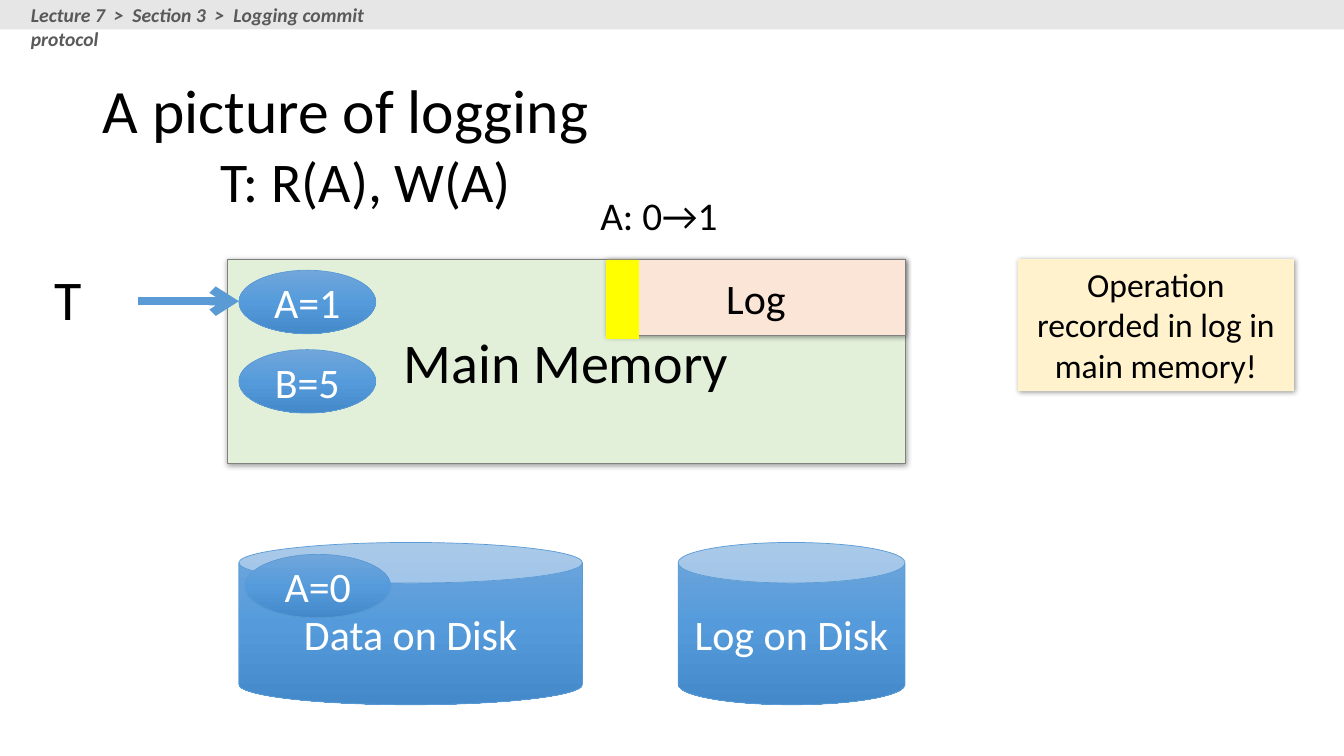
from copy import deepcopy
from dataclasses import dataclass

from lxml import etree
from pptx import Presentation
from pptx.dml.color import RGBColor
from pptx.enum.shapes import MSO_CONNECTOR, MSO_SHAPE
from pptx.enum.text import MSO_ANCHOR, MSO_AUTO_SIZE, PP_ALIGN
from pptx.oxml.ns import qn
from pptx.util import Cm, Pt

RECT, OVAL, CAN = MSO_SHAPE.RECTANGLE, MSO_SHAPE.OVAL, MSO_SHAPE.CAN
LEFT, CENTER = PP_ALIGN.LEFT, PP_ALIGN.CENTER
TOP, MIDDLE = MSO_ANCHOR.TOP, MSO_ANCHOR.MIDDLE
STRAIGHT = MSO_CONNECTOR.STRAIGHT
NO_AUTOFIT = MSO_AUTO_SIZE.NONE

FONT = "Calibri"
BLACK, WHITE, GREY, BLUE, YELLOW = "000000", "FFFFFF", "808080", "5B9BD5", "FFFF00"
GRADIENT = ((0, "71A6DB"), (0.5, "559BDB"), (1, "448ACA"))

SLIDE_W, SLIDE_H = 33.87, 19.05
MEMORY_TOP, DISK_TOP, LOG_LEFT = 6.53, 13.67, 15.29
DATA_LEFT, DISK_H, OVAL_W, OVAL_H = 6.02, 4.09, 3.45, 1.6


@dataclass
class Block:
    kind: MSO_SHAPE
    left: float
    top: float
    width: float
    height: float
    text: str = ""
    fill: str = ""
    line: str = ""
    color: str = BLACK
    size: int = 30
    shadow: bool = False
    anchor: MSO_ANCHOR = MIDDLE


@dataclass
class Label:
    left: float
    top: float
    width: float
    height: float
    text: str
    size: int = 40
    align: PP_ALIGN = CENTER
    color: str = BLACK
    strong: bool = False


def rgb(color: str) -> RGBColor:
    return RGBColor.from_string(color)


def place(s, left: float, top: float, width: float, height: float) -> None:
    s.left, s.top, s.width, s.height = Cm(left), Cm(top), Cm(width), Cm(height)


def write(tf, text: str, size: int, color: str, align: PP_ALIGN, anchor: MSO_ANCHOR):
    tf.word_wrap = True
    tf.auto_size = NO_AUTOFIT
    tf.vertical_anchor = anchor
    p = tf.paragraphs[0]
    p.text = text
    p.alignment = align
    p.font.name = FONT
    p.font.size = Pt(size)
    p.font.color.rgb = rgb(color)
    return p


def fill_gradient(s) -> None:
    s.fill.gradient()
    s.fill.gradient_angle = 270
    stops = s.fill._xPr.find(f".//{qn('a:gsLst')}")
    stops.append(deepcopy(stops[0]))
    for stop, (position, color) in zip(s.fill.gradient_stops, GRADIENT):
        stop.position = position
        stop.color.rgb = rgb(color)


def add_shadow(s) -> None:
    effects = s._element.spPr.find(qn("a:effectLst"))
    shadow = etree.SubElement(
        effects, qn("a:outerShdw"), blurRad=str(Pt(4)), dist=str(Pt(1)),
        dir="2700000", algn="tl", rotWithShape="0")
    color = etree.SubElement(shadow, qn("a:srgbClr"), val=BLACK)
    etree.SubElement(color, qn("a:alpha"), val="40000")


def add_block(slide, block: Block) -> None:
    s = slide.shapes.add_shape(block.kind, 0, 0, 0, 0)
    place(s, block.left, block.top, block.width, block.height)
    if block.fill:
        s.fill.solid()
        s.fill.fore_color.rgb = rgb(block.fill)
    else:
        fill_gradient(s)
    if block.line:
        s.line.color.rgb = rgb(block.line)
        s.line.width = Pt(0.5)
    else:
        s.line.fill.background()
    s.shadow.inherit = False
    if block.shadow:
        add_shadow(s)
    if block.text:
        write(s.text_frame, block.text, block.size, block.color, CENTER, block.anchor)


def add_label(slide, label: Label) -> None:
    s = slide.shapes.add_textbox(0, 0, 0, 0)
    place(s, label.left, label.top, label.width, label.height)
    p = write(s.text_frame, label.text, label.size, label.color, label.align, TOP)
    p.font.bold = p.font.italic = label.strong


def add_arrow(slide, left: float, right: float, y: float) -> None:
    s = slide.shapes.add_connector(STRAIGHT, Cm(left), Cm(y), Cm(right), Cm(y))
    s.line.color.rgb = rgb(BLUE)
    s.line.width = Pt(6)
    etree.SubElement(s.line._get_or_add_ln(), qn("a:tailEnd"), type="arrow")
    etree.SubElement(s._element.spPr, qn("a:effectLst"))


def add_title(slide, text: str) -> None:
    s = slide.shapes.title
    place(s, 2.33, 1.02, 29.21, 3.68)
    p = write(s.text_frame, text, 44, BLACK, LEFT, MIDDLE)
    p.line_spacing = 0.9


def blue_block(kind: MSO_SHAPE, left: float, top: float, width: float,
               height: float, text: str) -> Block:
    return Block(kind, left, top, width, height, text, line=BLUE, color=WHITE)


BLOCKS = [
    blue_block(CAN, DATA_LEFT, DISK_TOP, 8.66, DISK_H, "Data on Disk"),
    Block(RECT, 5.72, MEMORY_TOP, 17.09, 5.16, "Main Memory", "E2F0D9", GREY,
          size=40, shadow=True),
    blue_block(CAN, 17.09, DISK_TOP, 5.72, DISK_H, "Log on Disk"),
    Block(RECT, LOG_LEFT, MEMORY_TOP, 7.52, 1.93, "Log", "FBE5D6", GREY, shadow=True),
    blue_block(OVAL, DATA_LEFT, 6.81, OVAL_W, OVAL_H, "A=1"),
    blue_block(OVAL, DATA_LEFT, 8.81, OVAL_W, OVAL_H, "B=5"),
    blue_block(OVAL, 6.17, 13.97, 3.68, OVAL_H, "A=0"),
    Block(RECT, LOG_LEFT, 6.55, 0.79, 1.98, fill=YELLOW, line=YELLOW),
    Block(RECT, 0, 0, SLIDE_W, 0.74, fill="E7E6E6"),
    Block(RECT, 25.65, MEMORY_TOP, 6.96, 3.33,
          "Operation recorded in log in main memory!", "FFF2CC", size=24,
          shadow=True, anchor=TOP),
]

LABELS = [
    Label(0, MEMORY_TOP, 3.78, 1.96, "T "),
    Label(4.24, 3.58, 10.26, 1.96, "T: R(A), W(A) "),
    Label(14.88, 4.7, 4.75, 1.45, "A: 0→1", 28, LEFT),
    Label(0.53, -0.05, 10.57, 0.86,
          "Lecture 7  >  Section 3  >  Logging commit protocol", 14, LEFT,
          "595959", True),
]


def main() -> None:
    prs = Presentation()
    prs.slide_width, prs.slide_height = Cm(SLIDE_W), Cm(SLIDE_H)
    slide = prs.slides.add_slide(prs.slide_layouts[5])
    add_title(slide, "A picture of logging")
    for block in BLOCKS:
        add_block(slide, block)
    for label in LABELS:
        add_label(slide, label)
    add_arrow(slide, 3.48, DATA_LEFT, 7.59)
    prs.save("out.pptx")


if __name__ == "__main__":
    main()
